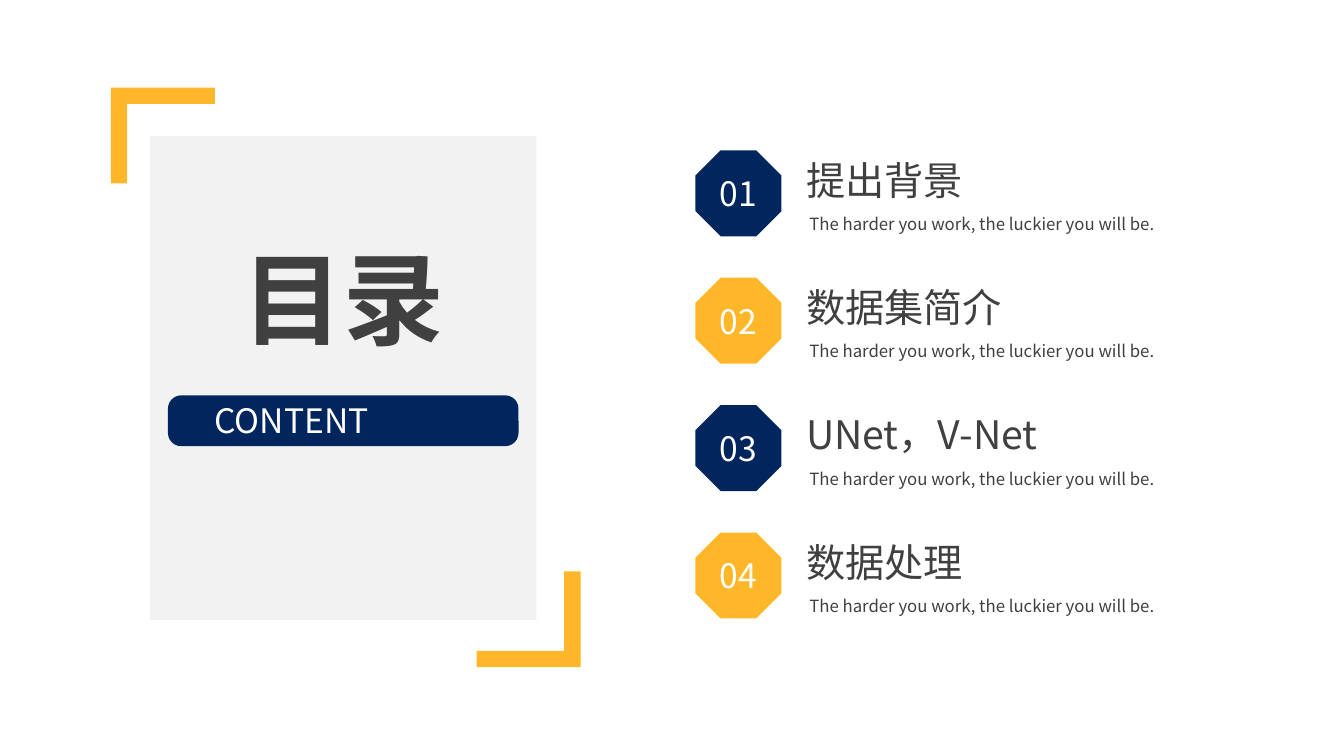
"""Build a contents slide with a framed title panel and four numbered topics."""
import pptx
import pptx.dml.color
import pptx.enum.shapes
import pptx.enum.text
import pptx.oxml.ns
import pptx.util
import lxml.etree

Pt = pptx.util.Pt
RGBColor = pptx.dml.color.RGBColor
SHAPE = pptx.enum.shapes.MSO_SHAPE
ALIGN = pptx.enum.text.PP_ALIGN
ANCHOR = pptx.enum.text.MSO_ANCHOR
AUTO_SIZE = pptx.enum.text.MSO_AUTO_SIZE

NAVY = RGBColor(0x00, 0x26, 0x5D)
AMBER = RGBColor(0xFE, 0xB7, 0x28)
PALE = RGBColor(0xF2, 0xF2, 0xF2)
INK = RGBColor(0x40, 0x40, 0x40)
WHITE = RGBColor(0xFF, 0xFF, 0xFF)

TOPICS = ["提出背景", "数据集简介", "UNet，V-Net", "数据处理"]
MOTTO = "The harder you work, the luckier you will be."
TOPIC_STEP = 91


class ContentsPage:
    font_name = "Noto Sans CJK SC"

    def __init__(self, deck):
        self.page = deck.slides.add_slide(deck.slide_layouts[5])

    def set_text(self, box, text, size, color, align, bold=False, spacing=None):
        box.text_frame.text = text
        para = box.text_frame.paragraphs[0]
        para.alignment = align
        para.line_spacing = spacing
        for span in para.runs:
            span.font.name = self.font_name
            span.font.size = Pt(size)
            span.font.bold = bold
            span.font.color.rgb = color
            east_asian = lxml.etree.SubElement(span.font._element, pptx.oxml.ns.qn("a:ea"))
            east_asian.set("typeface", self.font_name)

    def shape(self, kind, left, top, width, height, color, adjustments=(), rotation=0):
        shape = self.page.shapes.add_shape(kind, Pt(left), Pt(top), Pt(width), Pt(height))
        shape.shadow.inherit = False
        shape.fill.solid()
        shape.fill.fore_color.rgb = color
        shape.line.fill.background()
        shape.rotation = rotation
        for index, value in enumerate(adjustments):
            shape.adjustments[index] = value
        return shape

    def bracket(self, left, top, rotation):
        return self.shape(SHAPE.CORNER, left, top, 68.4, 74.2, AMBER, (0.17, 0.17), rotation)

    def title(self, text, left, top, width, height):
        title = self.page.shapes.title
        title.left, title.top, title.width, title.height = map(Pt, (left, top, width, height))
        title.text_frame.vertical_anchor = ANCHOR.TOP
        title.text_frame.word_wrap = True
        title.text_frame.auto_size = AUTO_SIZE.SHAPE_TO_FIT_TEXT
        self.set_text(title, text, 72, INK, ALIGN.CENTER, bold=True)
        return title

    def label(self, text, left, top, width, height, size, color, align=ALIGN.LEFT, spacing=None):
        box = self.page.shapes.add_textbox(Pt(left), Pt(top), Pt(width), Pt(height))
        box.text_frame.word_wrap = True
        box.text_frame.auto_size = AUTO_SIZE.SHAPE_TO_FIT_TEXT
        self.set_text(box, text, size, color, align, spacing=spacing)

    def topic(self, number, heading, top, color):
        badge = self.shape(SHAPE.OCTAGON, 496.8, top, 61.4, 61.4, color)
        badge.text_frame.vertical_anchor = ANCHOR.MIDDLE
        self.set_text(badge, f"{number:02d}", 24, WHITE, ALIGN.CENTER)
        self.label(heading, 568.8, top + 0.5, 285, 41, 28, INK)
        self.label(MOTTO, 571, top + 37.3, 286.6, 25.2, 12, INK, spacing=1.3)


def main():
    deck = pptx.Presentation()
    deck.slide_width, deck.slide_height = Pt(960), Pt(540)
    contents = ContentsPage(deck)
    contents.bracket(343.4, 405.3, 270)
    contents.bracket(82.1, 59.7, 90)
    contents.shape(SHAPE.RECTANGLE, 107.3, 97.2, 275.8, 345.6, PALE)
    pill = contents.shape(SHAPE.ROUNDED_RECTANGLE, 120, 282.4, 250.4, 36.3, NAVY, (0.26,))
    title = contents.title("目录", 146.2, 165.6, 198.7, 94.3)
    pill.element.addnext(title.element)
    contents.label("CONTENT", 146.2, 282.2, 198.7, 36, 24, WHITE, ALIGN.JUSTIFY)
    for index, heading in enumerate(TOPICS):
        color = AMBER if index % 2 else NAVY
        contents.topic(index + 1, heading, 107.4 + index * TOPIC_STEP, color)
    deck.save("out.pptx")


if __name__ == "__main__":
    main()
